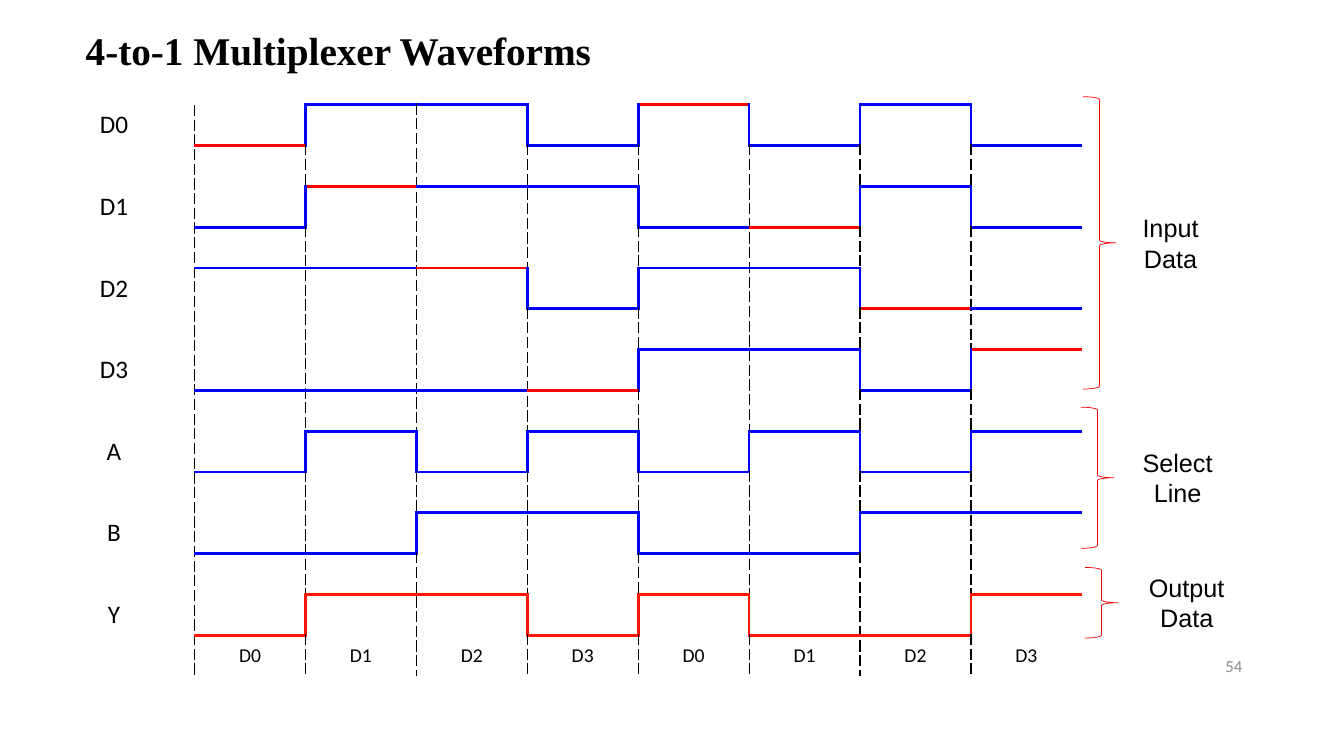
from collections import defaultdict
from dataclasses import dataclass

from lxml import etree
from pptx import Presentation
from pptx.dml.color import RGBColor
from pptx.enum.shapes import MSO_SHAPE
from pptx.enum.text import MSO_ANCHOR, MSO_AUTO_SIZE, PP_ALIGN
from pptx.oxml.ns import qn
from pptx.util import Inches, Pt

LEFT_BRACE = MSO_SHAPE.LEFT_BRACE
MIDDLE = MSO_ANCHOR.MIDDLE
FIT_SHAPE = MSO_AUTO_SIZE.SHAPE_TO_FIT_TEXT
LEFT, CENTER, RIGHT = PP_ALIGN.LEFT, PP_ALIGN.CENTER, PP_ALIGN.RIGHT

TITLE = "4-to-1 Multiplexer Waveforms"
PAGE_NUMBER = "54"
INPUTS = ["D0", "D1", "D2", "D3"]
SIGNALS = {
    "D0": "01101010",
    "D1": "01110010",
    "D2": "11101100",
    "D3": "00001101",
    "A": "01010101",
    "B": "00110011",
    "Y": "01101001",
}
GROUPS = [
    (["Input", "Data"], (10.74, 0.96, 0.33, 2.9), (11.23, 2.06, 0.76, 0.71)),
    (["Select", "Line"], (10.72, 4.04, 0.33, 1.4), (11.23, 4.39, 0.9, 0.71)),
    (["Output", "Data"], (10.76, 5.63, 0.33, 0.7), (11.29, 5.63, 0.96, 0.71)),
]
SLOTS = 8
ROWS = 2 * len(SIGNALS)
NAME_WIDTH, SLOT_WIDTH, TABLE_HEIGHT = 1.6, 1.1, 5.67
NO_GRID_STYLE = "{2D5ABB26-0587-4C30-8999-92F81FD0307C}"


@dataclass(frozen=True)
class Theme:
    ink: str = "000000"
    paper: str = "FFFFFF"
    muted: str = "8C8C8C"
    wave: str = "0000FF"
    selected: str = "FF0000"
    output: str = "FF1701"
    title_font: str = "Times New Roman"
    table_font: str = "Calibri"
    group_font: str = "Arial"
    title_size: int = 28
    label_size: int = 18
    slot_size: int = 14
    page_size: int = 12
    wave_line: float = 2.25
    guide_line: float = 1
    brace_line: float = 0.5


THEME = Theme()


def box(*lengths):
    return [Inches(length) for length in lengths]


def write(paragraph, words, font, size, color=THEME.ink, align=CENTER, bold=None):
    paragraph.alignment = align
    run = paragraph.add_run()
    run.text = words
    run.font.name = font
    run.font.size = Pt(size)
    run.font.bold = bold
    run.font.color.rgb = RGBColor.from_string(color)


def plan_borders():
    borders = defaultdict(dict)
    guide = (THEME.ink, THEME.guide_line, "dash")

    def upright(row, slot, style):
        borders[row, slot]["R"] = style
        borders[row, slot + 1]["L"] = style

    def level(row, slot, style):
        borders[row, slot + 1]["T"] = style
        if row:
            borders[row - 1, slot + 1]["B"] = style

    for row in range(ROWS):
        for slot in range(SLOTS):
            upright(row, slot, guide)
    for index, (name, bits) in enumerate(SIGNALS.items()):
        row = 2 * index
        color = THEME.output if name == "Y" else THEME.wave
        wave = (color, THEME.wave_line, "solid")
        chosen = (THEME.selected, THEME.wave_line, "solid")
        for slot, bit in enumerate(bits):
            is_chosen = name == INPUTS[slot % len(INPUTS)]
            level(row + (bit == "0"), slot, chosen if is_chosen else wave)
            if slot and bit != bits[slot - 1]:
                upright(row, slot, wave)
    return borders


def draw_borders(cell, sides):
    properties = cell._tc.get_or_add_tcPr()
    for position, side in enumerate("LRTB"):
        line = etree.Element(qn(f"a:ln{side}"))
        properties.insert(position, line)
        if side not in sides:
            etree.SubElement(line, qn("a:noFill"))
            continue
        color, width, dash = sides[side]
        line.set("w", str(Pt(width)))
        fill = etree.SubElement(line, qn("a:solidFill"))
        etree.SubElement(fill, qn("a:srgbClr"), val=color)
        etree.SubElement(line, qn("a:prstDash"), val=dash)


def add_waveforms(slide):
    width = NAME_WIDTH + SLOTS * SLOT_WIDTH
    table = slide.shapes.add_table(
        ROWS, SLOTS + 1, *box(0.33, 1.04, width, TABLE_HEIGHT)
    ).table
    table._tbl.tblPr.find(qn("a:tableStyleId")).text = NO_GRID_STYLE
    table.first_row = table.horz_banding = False
    for column, column_width in zip(table.columns, [NAME_WIDTH] + [SLOT_WIDTH] * SLOTS):
        column.width = Inches(column_width)
    borders = plan_borders()
    for row in range(ROWS):
        for column in range(SLOTS + 1):
            cell = table.cell(row, column)
            cell.fill.solid()
            cell.fill.fore_color.rgb = RGBColor.from_string(THEME.paper)
            cell.vertical_anchor = MIDDLE
            cell.margin_left = cell.margin_right = Inches(0.13)
            draw_borders(cell, borders[row, column])
    for index, name in enumerate(SIGNALS):
        paragraph = table.cell(2 * index, 0).text_frame.paragraphs[0]
        write(paragraph, name, THEME.table_font, THEME.label_size)
    for slot in range(SLOTS):
        paragraph = table.cell(ROWS - 1, slot + 1).text_frame.paragraphs[0]
        write(paragraph, INPUTS[slot % len(INPUTS)], THEME.table_font, THEME.slot_size)


def add_group(slide, words, brace_box, label_box):
    group = slide.shapes.add_group_shape()
    brace = group.shapes.add_shape(LEFT_BRACE, *box(*brace_box))
    brace.element.spPr.get_or_add_xfrm().set("flipH", "1")
    brace.shadow.inherit = False
    brace.fill.background()
    brace.line.color.rgb = RGBColor.from_string(THEME.selected)
    brace.line.width = Pt(THEME.brace_line)
    frame = group.shapes.add_textbox(*box(*label_box)).text_frame
    frame.word_wrap = False
    frame.auto_size = FIT_SHAPE
    for index, word in enumerate(words):
        paragraph = frame.add_paragraph() if index else frame.paragraphs[0]
        write(paragraph, word, THEME.group_font, THEME.label_size)


def add_title(slide):
    title = slide.shapes.title
    title.left, title.top, title.width, title.height = box(0.75, 0.05, 11.5, 0.95)
    title.text_frame.vertical_anchor = MIDDLE
    paragraph = title.text_frame.paragraphs[0]
    paragraph.line_spacing = 0.9
    write(paragraph, TITLE, THEME.title_font, THEME.title_size, align=LEFT, bold=True)


def add_page_number(slide):
    frame = slide.shapes.add_textbox(*box(9.42, 6.41, 3, 0.4)).text_frame
    frame.word_wrap = True
    frame.vertical_anchor = MIDDLE
    write(frame.paragraphs[0], PAGE_NUMBER, THEME.table_font, THEME.page_size,
          THEME.muted, RIGHT)


def main():
    """Build the multiplexer waveform slide."""
    deck = Presentation()
    deck.slide_width, deck.slide_height = box(13.33, 7.5)
    slide = deck.slides.add_slide(deck.slide_layouts[5])
    add_title(slide)
    add_page_number(slide)
    add_waveforms(slide)
    for words, brace_box, label_box in GROUPS:
        add_group(slide, words, brace_box, label_box)
    deck.save("out.pptx")


if __name__ == "__main__":
    main()
